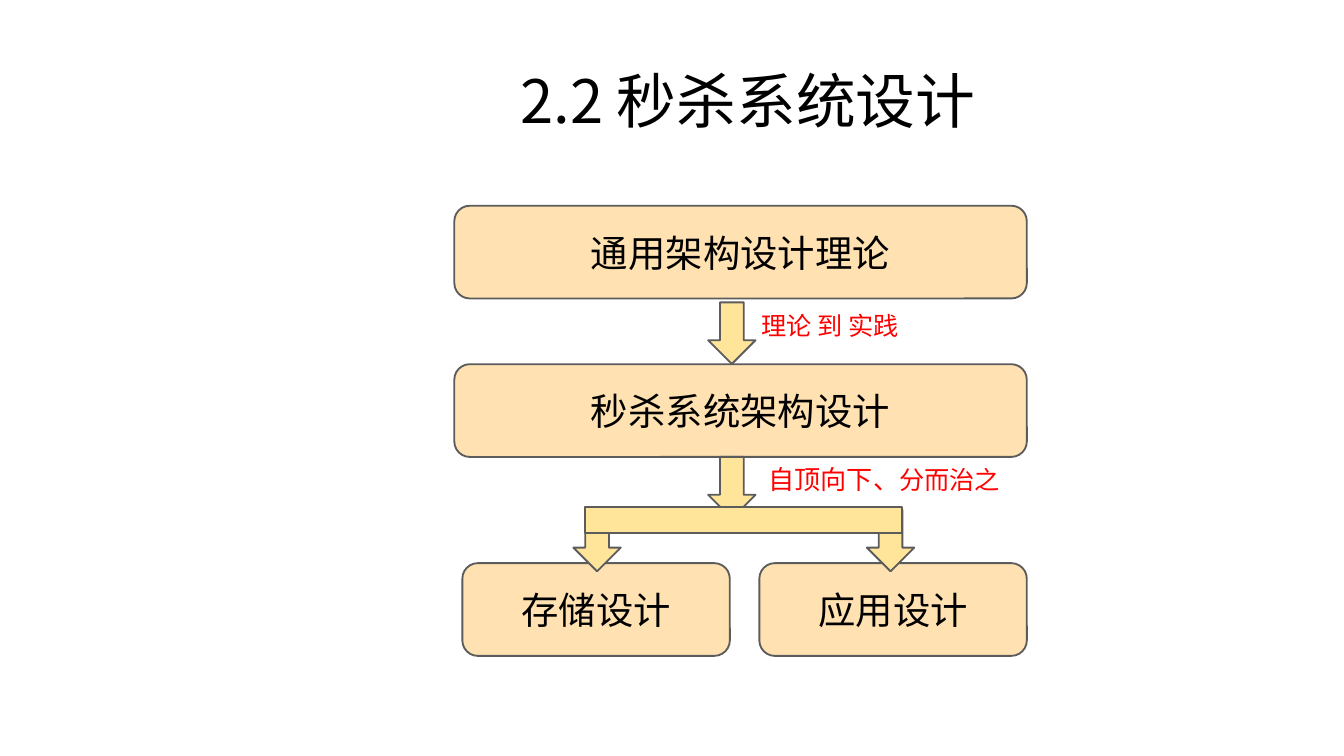
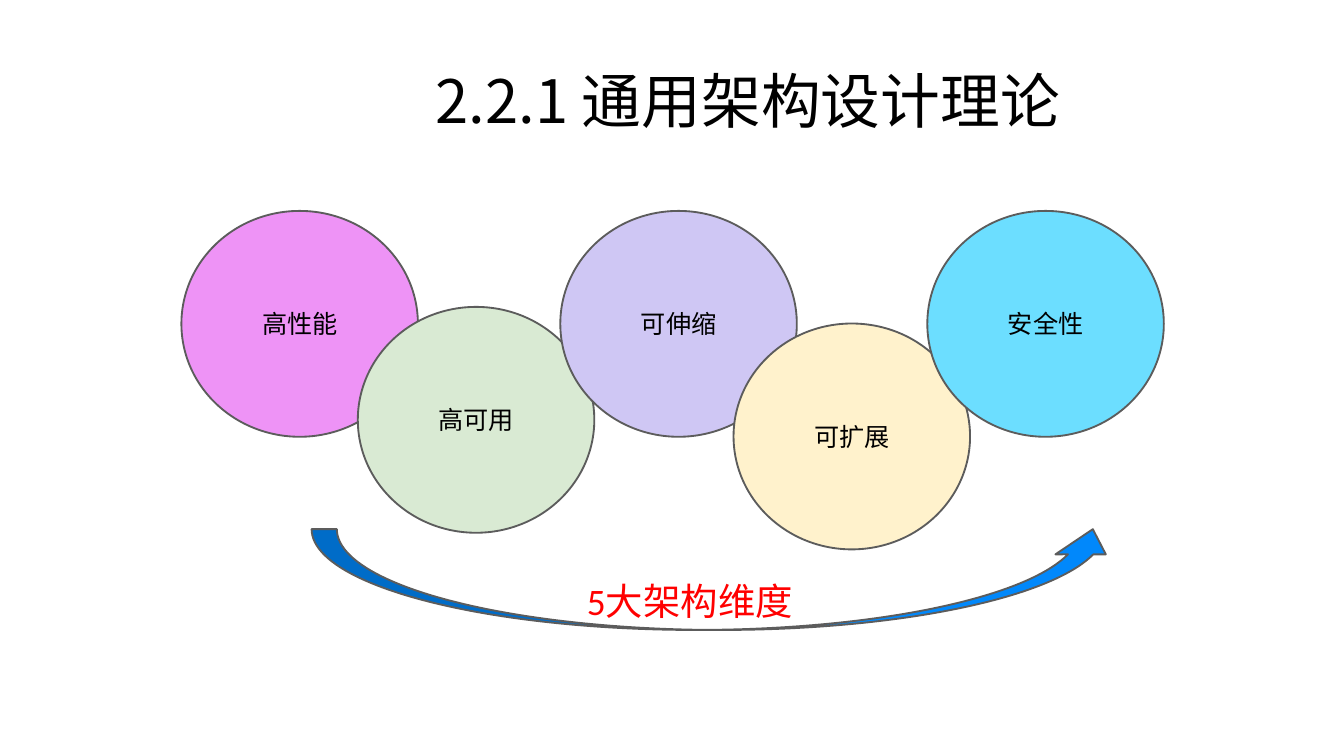
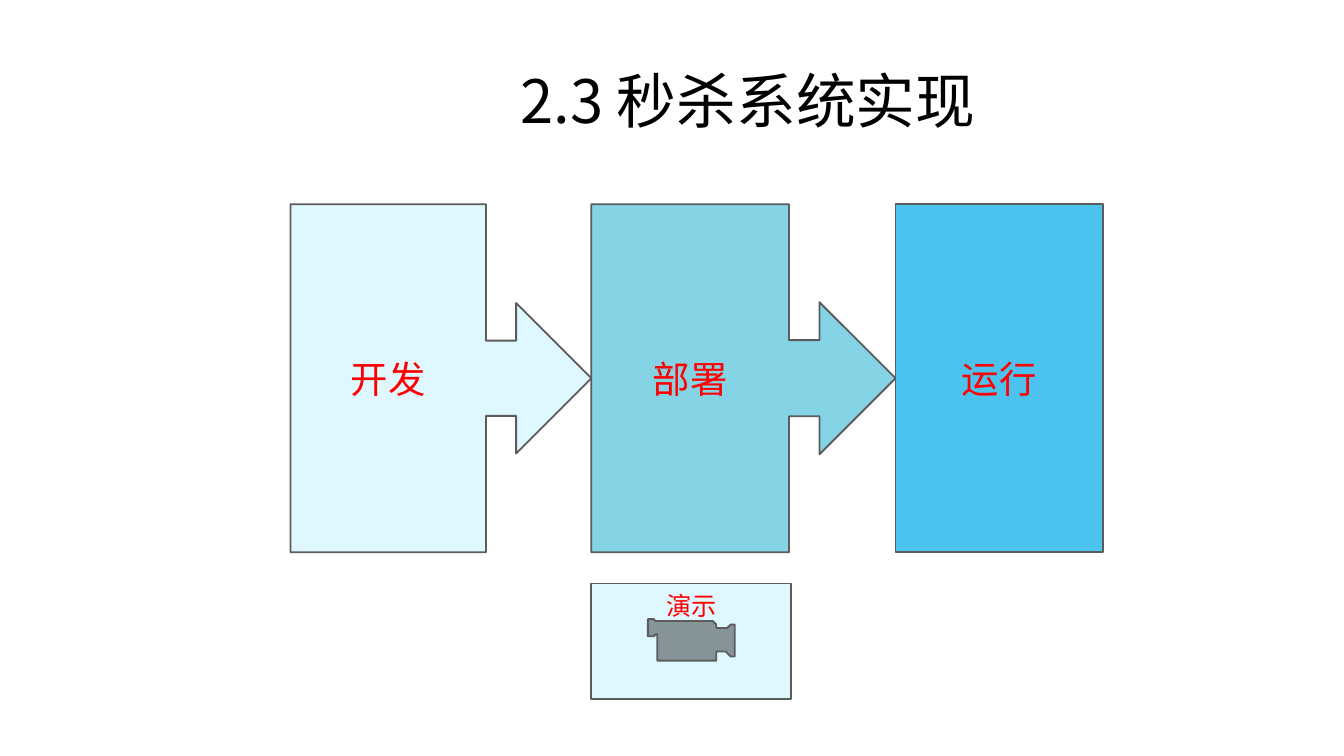
from pptx import Presentation
from pptx.dml.color import RGBColor
from pptx.enum import shapes, text
from pptx.oxml import parse_xml
from pptx.oxml import ns
from pptx.util import Pt

KIND = shapes.MSO_SHAPE
NOTO, CAL = "Noto Sans CJK SC", "Calibri"
INK, RED, EDGE = "000000", "FF0000", "5C5C5C"
PEACH, SAND, ICE = "FFE1B2", "FFE59A", "DFF8FF"
TITLE = (199.5, 37.4, 402.5, 36.7)

DESIGN = {
    "title": "2.2 秒杀系统设计",
    "wide": ["通用架构设计理论", "秒杀系统架构设计"],
    "half": ["存储设计", "应用设计"],
    "notes": [
        (401, 162.7, [("理论 到 实践", 13.5, CAL, RED)]),
        (404.6, 244.8, [("自顶向下、", 14, NOTO, "FF0200"),
                        ("分而治之", 13.5, CAL, "FF0200")]),
    ],
    "arrows": [(379.4, 162), (379.4, 244.8), (307.2, 273.1), (464.4, 273.1)],
}
THEORY = {
    "title": "2.2.1 通用架构设计理论",
    "traits": [
        ("高性能", 97.2, 113, "EE93F6"),
        ("高可用", 191.7, 164.4, "D9EAD3"),
        ("可伸缩", 300.2, 113, "CFC7F4"),
        ("可扩展", 393, 173.3, "FFF2CC"),
        ("安全性", 496.8, 113, "6CDEFF"),
    ],
    "sum": "5大架构维度",
}
BUILD = {
    "title": "2.3 秒杀系统实现",
    "steps": [
        ("开发", KIND.RIGHT_ARROW_CALLOUT, 161.2, ICE),
        ("部署", KIND.RIGHT_ARROW_CALLOUT, 163, "85D4E6"),
        ("运行", KIND.RECTANGLE, 111, "4CC2EE"),
    ],
    "demo": "演示",
}


def tint(code):
    return RGBColor.from_string(code)


def style(run, size, face, color):
    run.font.size = Pt(size)
    run.font.name = face
    run.font.color.rgb = tint(color)
    run.font._element.append(parse_xml(
        f'<a:ea {ns.nsdecls("a")} typeface="{NOTO}"/>'))


def write(frame, runs, align, anchor):
    frame.word_wrap = True
    frame.vertical_anchor = anchor
    para = frame.paragraphs[0]
    para.alignment = align
    for words, size, face, color in runs:
        run = para.add_run()
        run.text = words
        style(run, size, face, color)


def start(deck, words):
    slide = deck.slides.add_slide(deck.slide_layouts[5])
    head = slide.shapes.title
    head.left, head.top, head.width, head.height = map(Pt, TITLE)
    write(head.text_frame, [(words, 32, NOTO, INK)],
          text.PP_ALIGN.CENTER, text.MSO_ANCHOR.MIDDLE)
    head.text_frame.auto_size = text.MSO_AUTO_SIZE.NONE
    head.text_frame.paragraphs[0].line_spacing = 0.9
    return slide


def draw(slide, kind, box, fill, runs=(), anchor=text.MSO_ANCHOR.MIDDLE):
    shape = slide.shapes.add_shape(kind, *map(Pt, box))
    shape.shadow.inherit = False
    shape.fill.solid()
    shape.fill.fore_color.rgb = tint(fill)
    shape.line.color.rgb = tint(EDGE)
    shape.line.width = Pt(1)
    if runs:
        write(shape.text_frame, runs, text.PP_ALIGN.CENTER, anchor)


def label(slide, box, runs):
    area = slide.shapes.add_textbox(*map(Pt, box))
    write(area.text_frame, runs, text.PP_ALIGN.LEFT, text.MSO_ANCHOR.TOP)


def design(deck):
    slide = start(deck, DESIGN["title"])
    boxes = [(words, 243.4, 110.2 + 84.9 * i, 306.7)
             for i, words in enumerate(DESIGN["wide"])]
    boxes += [(words, 247.7 + 159.1 * i, 301.7, 143.3)
              for i, words in enumerate(DESIGN["half"])]
    for words, left, top, width in boxes:
        draw(slide, KIND.ROUNDED_RECTANGLE, (left, top, width, 49.7),
             PEACH, [(words, 20, NOTO, INK)])
    for left, top in DESIGN["arrows"]:
        draw(slide, KIND.DOWN_ARROW, (left, top, 25.4, 33), SAND)
    draw(slide, KIND.RECTANGLE, (313.2, 271.5, 170, 13.9), SAND)
    for left, top, runs in DESIGN["notes"]:
        label(slide, (left, top, 139.7, 25.9), runs)


def theory(deck):
    slide = start(deck, THEORY["title"])
    for words, left, top, fill in THEORY["traits"]:
        draw(slide, KIND.OVAL, (left, top, 126.7, 121), fill,
             [(words, 13.5, CAL, INK)])
    label(slide, (307.4, 306, 129.6, 25.9), [(THEORY["sum"], 20, CAL, RED)])
    draw(slide, KIND.CURVED_UP_ARROW, (167, 283.5, 432, 54), "0188FB")


def build(deck):
    slide = start(deck, BUILD["title"])
    left = 155.6
    for words, kind, width, fill in BUILD["steps"]:
        draw(slide, kind, (left, 109.4, width, 186.5), fill,
             [(words, 20, CAL, RED)])
        left += width
    draw(slide, KIND.ACTION_BUTTON_MOVIE, (316.8, 312.6, 107.2, 62), ICE,
         [(BUILD["demo"], 13.5, CAL, RED)], text.MSO_ANCHOR.TOP)


def main():
    deck = Presentation()
    deck.slide_width, deck.slide_height = Pt(720), Pt(405)
    for make in (design, theory, build):
        make(deck)
    deck.save("out.pptx")


if __name__ == "__main__":
    main()
